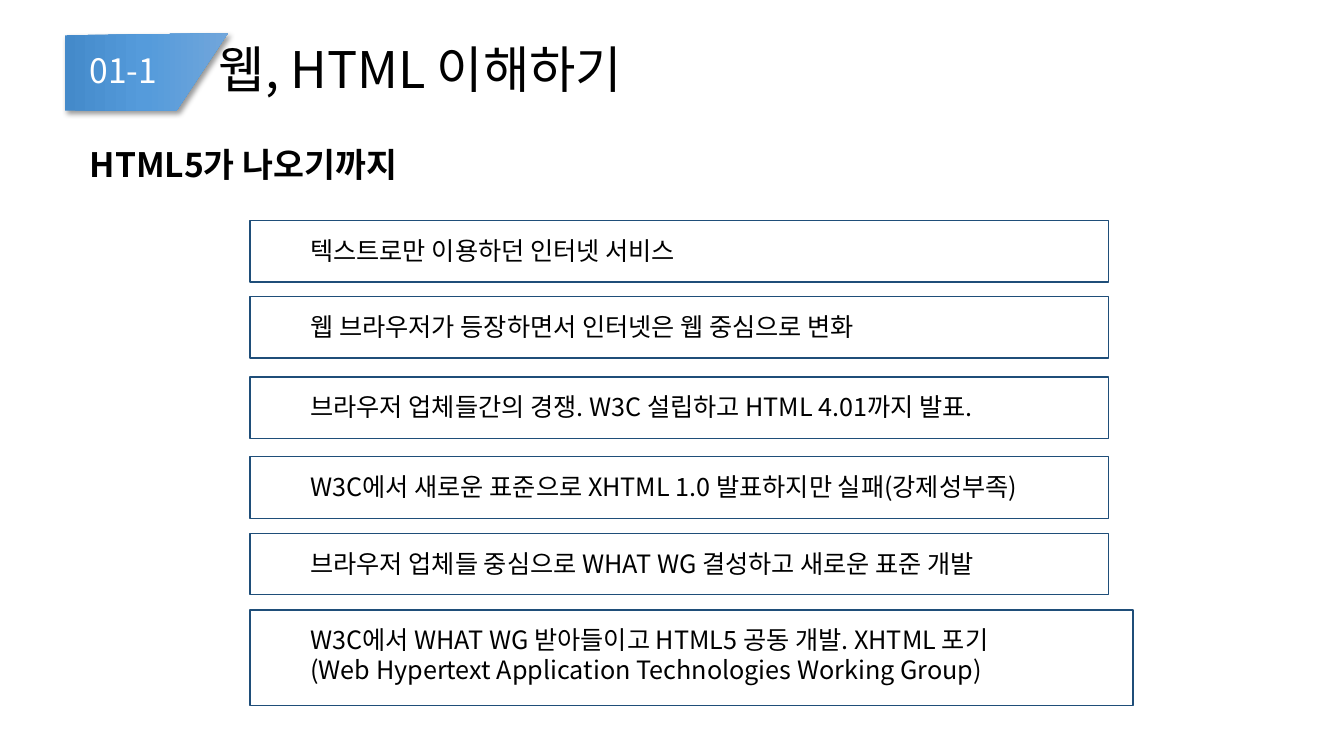
from copy import deepcopy

from lxml.etree import SubElement
from pptx import Presentation
from pptx.dml.color import RGBColor
from pptx.enum.shapes import MSO_SHAPE
from pptx.enum.text import MSO_ANCHOR, MSO_AUTO_SIZE
from pptx.oxml.ns import qn
from pptx.util import Cm, Pt

FONT = "Noto Sans CJK KR"
STEP_LEFT, STEP_WIDTH, STEP_HEIGHT = 6.3, 21.64, 1.55
STEPS = [
    (5.56, ["텍스트로만 이용하던 인터넷 서비스"], {}),
    (7.47, ["웹 브라우저가 등장하면서 인터넷은 웹 중심으로 변화"], {}),
    (9.5, ["브라우저 업체들간의 경쟁. W3C 설립하고 HTML 4.01까지 발표."], {}),
    (11.51, ["W3C에서 새로운 표준으로 XHTML 1.0 발표하지만 실패(강제성부족)"],
     {"text_width": 20.78}),
    (13.44, ["브라우저 업체들 중심으로 WHAT WG 결성하고 새로운 표준 개발"], {}),
    (15.37, ["W3C에서 WHAT WG 받아들이고 HTML5 공동 개발. XHTML 포기",
             "(Web Hypertext Application Technologies Working Group)"],
     {"width": 22.25, "height": 2.41}),
]


def color(hex_code):
    """Turn a hex string into a colour."""
    return RGBColor.from_string(hex_code)


def add_text(slide, lines, left, top, width, height, size=18, ink="000000",
             bold=False, spacing=None, anchor=MSO_ANCHOR.TOP, grow=True):
    """Add a wrapped text box with one paragraph per line."""
    box = slide.shapes.add_textbox(Cm(left), Cm(top), Cm(width), Cm(height))
    frame = box.text_frame
    frame.word_wrap = True
    frame.vertical_anchor = anchor
    frame.auto_size = MSO_AUTO_SIZE.SHAPE_TO_FIT_TEXT if grow else MSO_AUTO_SIZE.NONE
    frame.text = "\n".join(lines)
    for paragraph in frame.paragraphs:
        paragraph.line_spacing = spacing
        for run in paragraph.runs:
            run.font.name = FONT
            run.font.size = Pt(size)
            run.font.bold = bold
            run.font.color.rgb = color(ink)
            SubElement(run.font._element, qn("a:ea"), typeface=FONT)


def add_shadow(shape):
    """Give a shape a soft shadow towards the lower right."""
    shape.shadow.inherit = False
    effects = shape._element.spPr.find(qn("a:effectLst"))
    shadow = SubElement(effects, qn("a:outerShdw"), blurRad=str(Pt(4)),
                        dist=str(Pt(3)), dir="2700000", algn="tl", rotWithShape="0")
    shade = SubElement(shadow, qn("a:srgbClr"), val="000000")
    SubElement(shade, qn("a:alpha"), val="40000")


def add_badge(slide):
    """Draw the slanted gradient badge behind the section number."""
    corners = [(1.63, 0.89), (5.74, 0.84), (4.45, 2.79), (1.63, 2.79)]
    points = [(Cm(x), Cm(y)) for x, y in corners]
    outline = slide.shapes.build_freeform(*points[0])
    outline.add_line_segments(points[1:], close=True)
    badge = outline.convert_to_shape()
    badge.line.fill.background()
    badge.fill.gradient()
    badge.fill.gradient_angle = 0
    stop_list = badge._element.spPr.find(".//" + qn("a:gsLst"))
    stop_list.insert(1, deepcopy(stop_list[0]))
    blues = [(0, "448ACA"), (0.5, "559BDB"), (1, "71A6DB")]
    for stop, (position, blue) in zip(badge.fill.gradient_stops, blues):
        stop.position = position
        stop.color.rgb = color(blue)
    add_shadow(badge)


def add_step(slide, top, lines, width=STEP_WIDTH, height=STEP_HEIGHT, text_width=19.43):
    """Add one outlined step of the history with its text."""
    frame = slide.shapes.add_shape(MSO_SHAPE.RECTANGLE, Cm(STEP_LEFT), Cm(top),
                                   Cm(width), Cm(height))
    frame.shadow.inherit = False
    frame.fill.background()
    frame.line.color.rgb = color("1F4E79")
    frame.line.width = Pt(1)
    add_text(slide, lines, STEP_LEFT + 1.27, top + 0.24, text_width, 0.22 + 0.8 * len(lines))


def main():
    """Build and save the slide."""
    deck = Presentation()
    deck.slide_width, deck.slide_height = Cm(33.87), Cm(19.05)
    slide = deck.slides.add_slide(deck.slide_layouts[6])
    add_badge(slide)
    add_text(slide, [" 웹, HTML 이해하기"], 4.98, 0.84, 26.54, 1.96, size=36,
             spacing=0.9, anchor=MSO_ANCHOR.MIDDLE, grow=False)
    add_text(slide, ["01-1"], 2.01, 1.14, 2.79, 1.27, size=24, ink="FFFFFF")
    add_text(slide, ["HTML5가 나오기까지"], 2.01, 3.51, 9.86, 1.27, size=24, bold=True)
    for top, lines, extent in STEPS:
        add_step(slide, top, lines, **extent)
    deck.save("out.pptx")


if __name__ == "__main__":
    main()
